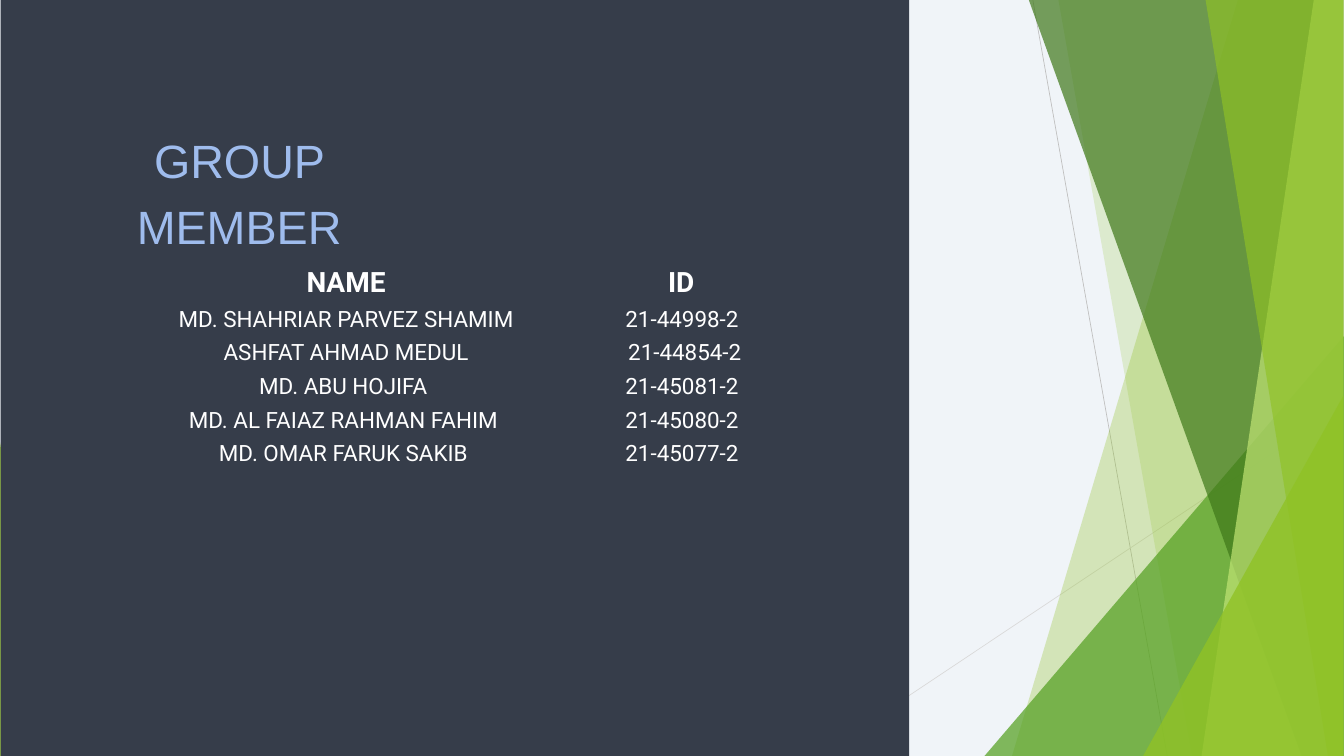
from typing import NamedTuple

from lxml.etree import SubElement
from pptx import Presentation
from pptx.dml.color import RGBColor
from pptx.enum.shapes import MSO_CONNECTOR, MSO_SHAPE
from pptx.enum.text import MSO_AUTO_SIZE, PP_ALIGN
from pptx.oxml.ns import qn
from pptx.util import Emu, Pt

PX = 9144  # EMU per px, 100 px to the inch
WIDTH, HEIGHT = 2000, 1125
NO_STYLE_NO_GRID = "{2D5ABB26-0587-4C30-8999-92F81FD0307C}"


class Line(NamedTuple):
    start: tuple[int, int]
    end: tuple[int, int]
    color: str


class Blade(NamedTuple):
    """A band reaching from a slanted left edge to the right edge."""
    top_x: int
    bottom_x: int
    right: int
    color: str
    opacity: int


class Triangle(NamedTuple):
    left: int
    top: int
    width: int
    apex: float
    color: str
    opacity: int


LINES = [
    Line((1537, 0), (1737, HEIGHT), "BFBFBF"),
    Line((1999, 604), (1218, HEIGHT), "D9D9D9"),
]
FACETS = [
    Blade(1842, 1506, 1999, "90C226", 30),
    Blade(1575, 1774, 2000, "90C226", 20),
    Triangle(1465, 500, 535, 1, "54A021", 72),
    Blade(1531, 1937, 1999, "3F7819", 70),
    Blade(1955, 1788, 1999, "C0E474", 70),
    Blade(1794, 1976, 1999, "90C226", 65),
    Triangle(1701, 589, 298, 1, "90C226", 80),
    Triangle(0, 658, 74, 0, "90C226", 85),
]
MEMBERS = [
    ("NAME", "ID "),
    ("MD. SHAHRIAR PARVEZ SHAMIM", "21-44998-2 "),
    ("ASHFAT AHMAD MEDUL", "21-44854-2"),
    ("MD. ABU HOJIFA ", "21-45081-2 "),
    ("MD. AL FAIAZ RAHMAN FAHIM ", "21-45080-2 "),
    ("MD. OMAR FARUK SAKIB ", "21-45077-2 "),
    ("", ""),
]
COLUMN_WIDTHS = (564, 444)
ROW_HEIGHT = 41


def px(length: int) -> Emu:
    return Emu(length * PX)


def rgb(value: str) -> RGBColor:
    return RGBColor.from_string(value)


def paint(shape, color: str, opacity: int = 100) -> None:
    shape.shadow.inherit = False
    shape.line.fill.background()
    shape.fill.solid()
    shape.fill.fore_color.rgb = rgb(color)
    if opacity < 100:
        color_element = shape._element.spPr.find(f"{qn('a:solidFill')}/{qn('a:srgbClr')}")
        SubElement(color_element, qn("a:alpha"), val=str(opacity * 1000))


def style_font(paragraph, name: str, size: int, color: str, bold: bool = False) -> None:
    paragraph.alignment = PP_ALIGN.CENTER
    font = paragraph.font
    font.name, font.size, font.bold = name, Pt(size), bold
    font.color.rgb = rgb(color)


def draw_line(slide, line: Line) -> None:
    connector = slide.shapes.add_connector(
        MSO_CONNECTOR.STRAIGHT, *map(px, line.start + line.end))
    connector.line.color.rgb = rgb(line.color)
    connector.line.width = Pt(0.75)
    SubElement(connector._element.spPr, qn("a:effectLst"))


def draw_blade(slide, blade: Blade) -> None:
    builder = slide.shapes.build_freeform(blade.top_x, 0, scale=PX)
    builder.add_line_segments(
        [(blade.right, 0), (blade.right, HEIGHT), (blade.bottom_x, HEIGHT)])
    paint(builder.convert_to_shape(), blade.color, blade.opacity)


def draw_triangle(slide, triangle: Triangle) -> None:
    shape = slide.shapes.add_shape(
        MSO_SHAPE.ISOSCELES_TRIANGLE, px(triangle.left), px(triangle.top),
        px(triangle.width), px(HEIGHT - triangle.top))
    shape.adjustments[0] = triangle.apex
    paint(shape, triangle.color, triangle.opacity)


def draw_title(slide, text: str) -> None:
    frame = slide.shapes.add_textbox(px(77), px(183), px(558), px(94)).text_frame
    frame.word_wrap = True
    frame.auto_size = MSO_AUTO_SIZE.SHAPE_TO_FIT_TEXT
    frame.margin_left = frame.margin_top = frame.margin_right = frame.margin_bottom = 0
    paragraph = frame.paragraphs[0]
    paragraph.text = text
    paragraph.line_spacing = Pt(70)
    style_font(paragraph, "Arial", 50, "9FBCED")


def draw_members(slide) -> None:
    table = slide.shapes.add_table(
        len(MEMBERS), len(COLUMN_WIDTHS), px(233), px(391),
        px(sum(COLUMN_WIDTHS)), px(ROW_HEIGHT * len(MEMBERS))).table
    table.first_row = table.horz_banding = False
    table._tbl.tblPr.find(qn("a:tableStyleId")).text = NO_STYLE_NO_GRID
    for column, width in zip(table.columns, COLUMN_WIDTHS):
        column.width = px(width)
    for row_index, member in enumerate(MEMBERS):
        is_header = row_index == 0
        for cell, text in zip(table.rows[row_index].cells, member):
            cell.fill.background()
            if text:
                paragraph = cell.text_frame.paragraphs[0]
                paragraph.text = text
                style_font(paragraph, "Roboto", 30 if is_header else 24, "FFFFFF", is_header)


def main() -> None:
    presentation = Presentation()
    presentation.slide_width, presentation.slide_height = px(WIDTH), px(HEIGHT)
    slide = presentation.slides.add_slide(presentation.slide_layouts[6])
    slide.background.fill.solid()
    slide.background.fill.fore_color.rgb = rgb("F0F4F8")

    # Green facets on the right
    for line in LINES:
        draw_line(slide, line)
    for facet in FACETS:
        if isinstance(facet, Blade):
            draw_blade(slide, facet)
        else:
            draw_triangle(slide, facet)

    # Dark panel with the title and the member table
    panel = slide.shapes.add_shape(MSO_SHAPE.RECTANGLE, px(1), 0, px(1352), px(HEIGHT))
    paint(panel, "363D4A")
    draw_title(slide, "GROUP MEMBER")
    draw_members(slide)

    presentation.save("out.pptx")


if __name__ == "__main__":
    main()
